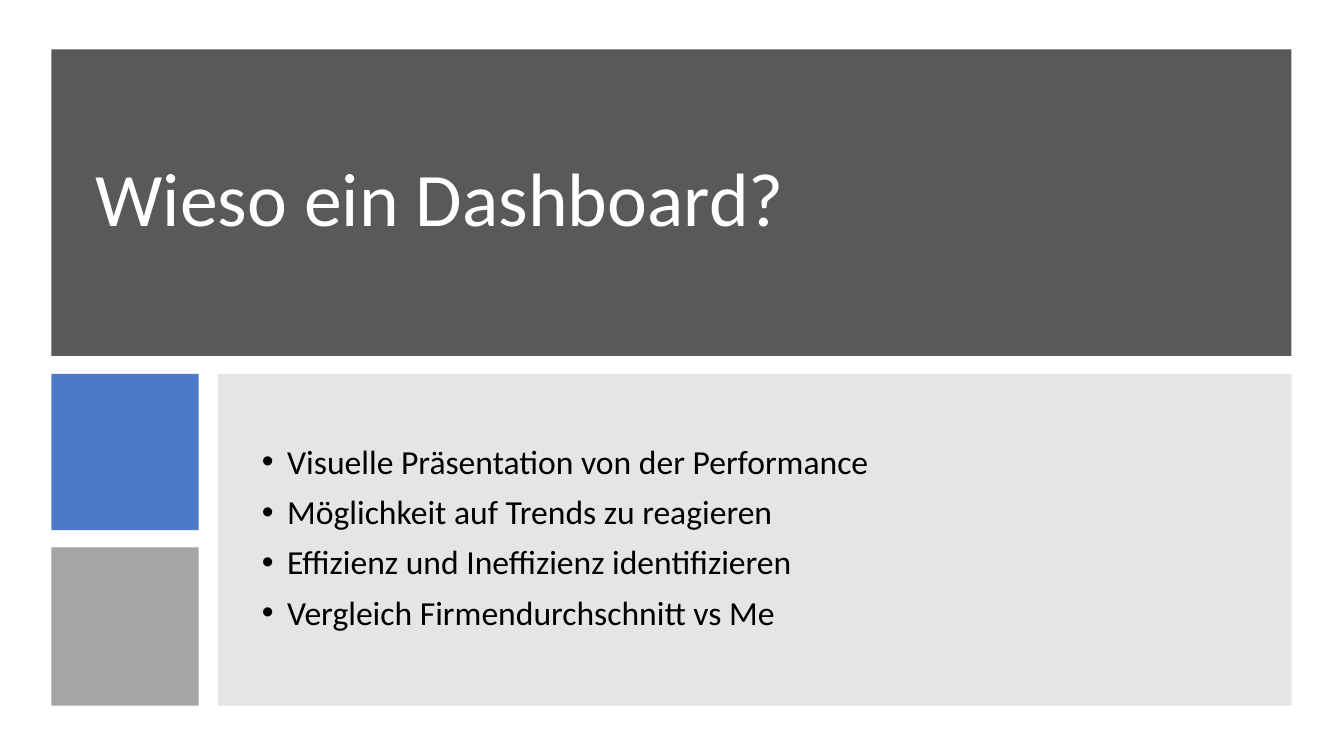
import pptx
import pptx.dml.color
import pptx.enum.shapes
import pptx.enum.text
import pptx.oxml.ns
import pptx.util
from lxml import etree
from pptx.util import Inches

RGBColor = pptx.dml.color.RGBColor
DARK_GRAY = RGBColor(0x59, 0x59, 0x59)
BLUE = RGBColor(0x44, 0x72, 0xC4)
LIGHT_GRAY = RGBColor(0xA5, 0xA5, 0xA5)
MID_GRAY = RGBColor(0x80, 0x80, 0x80)
WHITE = RGBColor(0xFF, 0xFF, 0xFF)
BLACK = RGBColor(0, 0, 0)
qn = pptx.oxml.ns.qn

presentation = pptx.Presentation()
presentation.slide_width = Inches(13.33)
presentation.slide_height = Inches(7.5)
slide = presentation.slides.add_slide(presentation.slide_layouts[6])


def add_text(lines, left, top, width, height, *, size, color, space_before=0, bullet=None):
    box = slide.shapes.add_textbox(Inches(left), Inches(top), Inches(width), Inches(height))
    frame = box.text_frame
    frame.word_wrap = True
    frame.vertical_anchor = pptx.enum.text.MSO_ANCHOR.MIDDLE
    frame.text = "\n".join(lines)
    for paragraph in frame.paragraphs:
        paragraph.line_spacing = 0.9
        paragraph.space_before = pptx.util.Pt(space_before)
        paragraph.font.name = "Calibri"
        paragraph.font.size = pptx.util.Pt(size)
        paragraph.font.color.rgb = color
        if bullet:
            properties = paragraph._p.get_or_add_pPr()
            properties.set("marL", str(Inches(0.25)))
            properties.set("indent", str(Inches(-0.25)))
            bullet_font = etree.Element(qn("a:buFont"), typeface="Arial")
            bullet_char = etree.Element(qn("a:buChar"), char=bullet)
            defaults = properties.find(qn("a:defRPr"))
            defaults.addprevious(bullet_font)
            defaults.addprevious(bullet_char)
        for run in paragraph.runs:
            run.font.name = "Calibri"
            run.font.size = pptx.util.Pt(size)
            run.font.color.rgb = color


panels = [
    (0.51, 0.49, 12.3, 3.04, DARK_GRAY, 100),
    (0.51, 3.71, 1.46, 1.55, BLUE, 95),
    (0.51, 5.43, 1.46, 1.57, LIGHT_GRAY, 100),
    (2.16, 3.71, 10.65, 3.29, MID_GRAY, 20),
]
for left, top, width, height, color, opacity in panels:
    panel = slide.shapes.add_shape(
        pptx.enum.shapes.MSO_SHAPE.RECTANGLE,
        Inches(left), Inches(top), Inches(width), Inches(height),
    )
    panel.shadow.inherit = False
    panel.line.fill.background()
    panel.fill.solid()
    panel.fill.fore_color.rgb = color
    if opacity < 100:
        fill_color = panel._element.spPr.find(qn("a:solidFill"))[0]
        etree.SubElement(fill_color, qn("a:alpha"), val=str(opacity * 1000))

add_text(["Wieso ein Dashboard?"], 0.85, 0.83, 11.62, 2.34, size=54, color=WHITE)

reasons = [
    "Visuelle Präsentation von der Performance",
    "Möglichkeit auf Trends zu reagieren",
    "Effizienz und Ineffizienz identifizieren",
    "Vergleich Firmendurchschnitt vs Me",
]
add_text(reasons, 2.5, 3.99, 9.96, 2.71, size=24, color=BLACK, space_before=10, bullet="•")

presentation.save("out.pptx")
